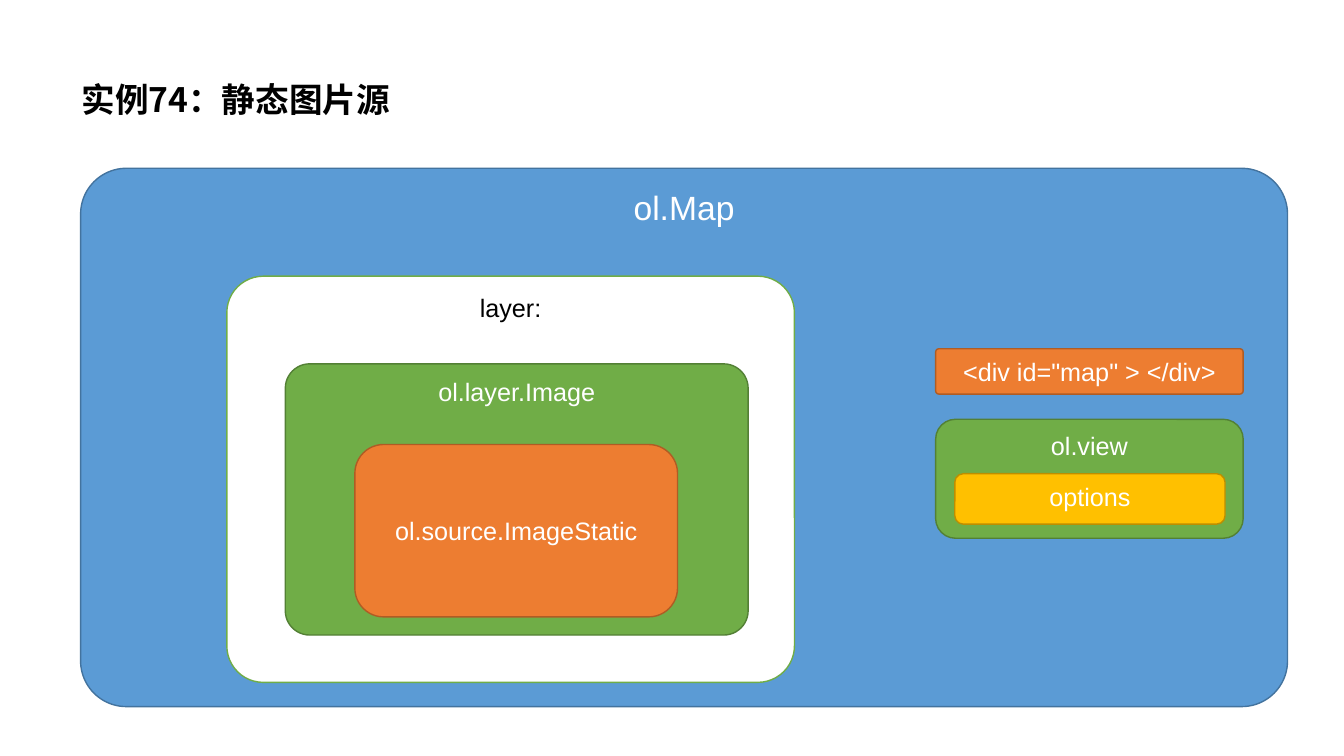
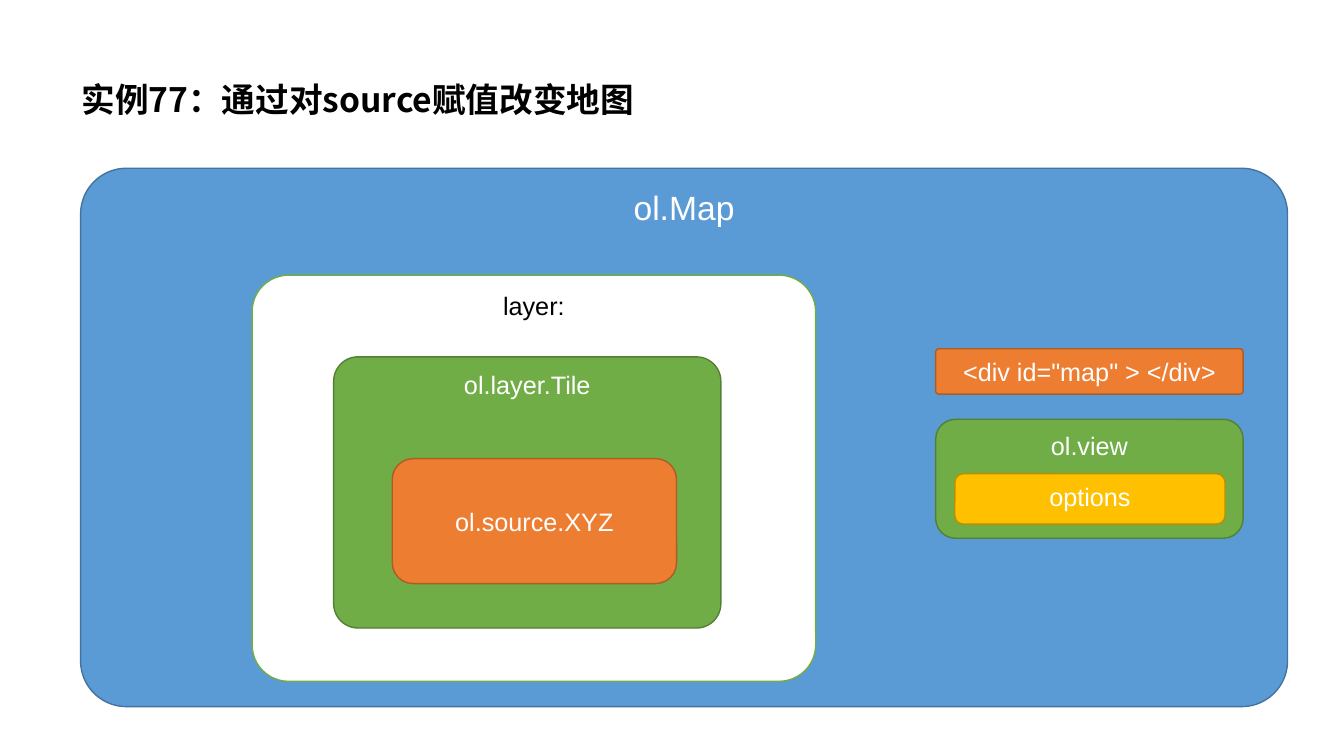
import dataclasses
import typing

import lxml.etree
import pptx
import pptx.dml.color
import pptx.enum.shapes
import pptx.enum.text
import pptx.oxml.ns
import pptx.util

ROUND = pptx.enum.shapes.MSO_SHAPE.ROUNDED_RECTANGLE
TOP = pptx.enum.text.MSO_ANCHOR.TOP
MID = pptx.enum.text.MSO_ANCHOR.MIDDLE
CENTER = pptx.enum.text.PP_ALIGN.CENTER


@dataclasses.dataclass(frozen=True)
class Theme:
    blue: tuple = ("5B9BD5", "43739E")
    orange: tuple = ("ED7D31", "AF5C24")
    green: tuple = ("70AD47", "538035")
    gold: tuple = ("FFC000", "BD8E00")
    plain: tuple = ("FFFFFF", "70AD47")
    light: str = "FFFFFF"
    dark: str = "000000"
    head: str = "Noto Sans CJK SC"
    body: str = "Arial"
    large: int = 24
    small: int = 18
    edge: int = 1


class Box(typing.NamedTuple):
    left: int
    top: int
    width: int
    height: int

    def inner(self, left, top, width, height):
        return Box(self.left + left, self.top + top, width, height)

    def emu(self):
        return [px(side) for side in self]


THEME = Theme()
PAGE = Box(0, 0, 1333, 750)


def px(count):
    return pptx.util.Emu(count * 9144)


def color(code):
    return pptx.dml.color.RGBColor.from_string(code)


def write(shape, text, size, tint, face, anchor):
    frame = shape.text_frame
    frame.text = text
    frame.word_wrap = True
    frame.vertical_anchor = anchor
    font = frame.paragraphs[0].runs[0].font
    font.size = pptx.util.Pt(size)
    font.color.rgb = color(tint)
    font.name = face
    return frame.paragraphs[0]


def panel(slide, box, text, paint, size=THEME.small, tint=THEME.light, anchor=TOP, curve=None):
    shape = slide.shapes.add_shape(ROUND, *box.emu())
    shape.shadow.inherit = False
    if curve is not None:
        shape.adjustments[0] = curve
    fill, line = paint
    shape.fill.solid()
    shape.fill.fore_color.rgb = color(fill)
    shape.line.color.rgb = color(line)
    shape.line.width = pptx.util.Pt(THEME.edge)
    write(shape, text, size, tint, THEME.body, anchor).alignment = CENTER


def title(slide, box, text):
    shape = slide.shapes.add_textbox(*box.emu())
    para = write(shape, text, THEME.large, THEME.dark, THEME.head, MID)
    para.line_spacing = 0.9
    run = para.runs[0]
    run.font.bold = True
    east = lxml.etree.SubElement(run.font._element, pptx.oxml.ns.qn("a:ea"))
    east.set("typeface", THEME.head)


def target(slide, box):
    panel(slide, box, '<div id="map" > </div>', THEME.orange, anchor=MID, curve=0.07)


def view(slide, box):
    panel(slide, box, "ol.view", THEME.green)
    panel(slide, box.inner(19, 54, 268, 50), "options", THEME.gold)


def layer(slide, box, kind, source):
    panel(slide, box, "layer:", THEME.plain, tint=THEME.dark, curve=0.09)
    name, place = kind
    mid = box.inner(*place)
    panel(slide, mid, name, THEME.green, curve=0.09)
    name, place = source
    panel(slide, mid.inner(*place), name, THEME.orange, anchor=MID)


def diagram(slide, box, stack, kind, source):
    panel(slide, box, "ol.Map", THEME.blue, size=THEME.large, curve=0.085)
    target(slide, box.inner(848, 179, 305, 45))
    view(slide, box.inner(848, 249, 305, 118))
    layer(slide, box.inner(*stack), kind, source)


def sample(deck, head, stack, kind, source):
    slide = deck.slides.add_slide(deck.slide_layouts[6])
    title(slide, PAGE.inner(71, 28, 1150, 145), head)
    diagram(slide, PAGE.inner(80, 167, 1197, 534), stack, kind, source)


def main():
    deck = pptx.Presentation()
    deck.slide_width = px(PAGE.width)
    deck.slide_height = px(PAGE.height)
    sample(
        deck,
        "实例74：静态图片源",
        (145, 107, 563, 403),
        ("ol.layer.Image", (58, 87, 459, 269)),
        ("ol.source.ImageStatic", (69, 80, 320, 171)),
    )
    sample(
        deck,
        "实例77：通过对source赋值改变地图",
        (170, 106, 559, 403),
        ("ol.layer.Tile", (81, 81, 384, 269)),
        ("ol.source.XYZ", (58, 101, 282, 124)),
    )
    deck.save("out.pptx")


if __name__ == "__main__":
    main()
